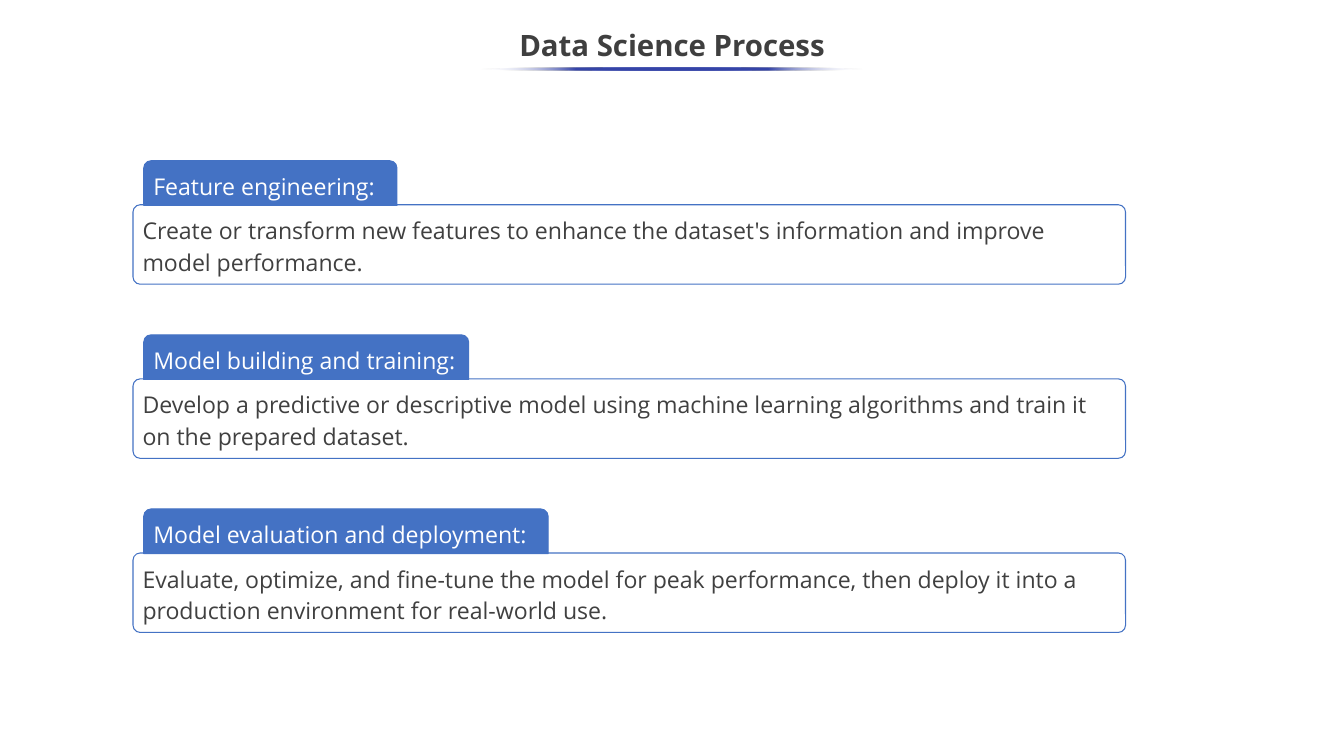
from lxml import etree
from pptx import Presentation
from pptx.dml.color import RGBColor
from pptx.enum.shapes import MSO_SHAPE as Shape
from pptx.enum.text import MSO_ANCHOR as Anchor, PP_ALIGN as Align
from pptx.oxml import parse_xml
from pptx.oxml.ns import nsdecls
from pptx.util import Cm, Pt

BLUE = RGBColor(0x44, 0x72, 0xC4)
INDIGO = RGBColor(0x36, 0x45, 0xA9)
WHITE = RGBColor(0xFF, 0xFF, 0xFF)
GREY = RGBColor(0x40, 0x40, 0x40)
TITLE_GREY = RGBColor(0x3F, 0x3F, 0x3F)

SLIDE_WIDTH, SLIDE_HEIGHT = 45.16, 25.4
STEP_PITCH = 5.85
TAB_HEIGHT, TAB_INDENT, BODY_OFFSET = 1.5, 0.36, 1.48

TITLE_FONT = {"name": "Open Sans", "size": Pt(28), "bold": True}
STEP_FONT = {"name": "Open Sans", "size": Pt(22)}

STEPS = [
    ("Feature engineering:", 8.51,
     "Create or transform new features to enhance the dataset's information "
     "and improve model performance."),
    ("Model building and training:", 10.92,
     "Develop a predictive or descriptive model using machine learning "
     "algorithms and train it on the prepared dataset."),
    ("Model evaluation and deployment:", 13.59,
     "Evaluate, optimize, and fine-tune the model for peak performance, "
     "then deploy it into a production environment for real-world use."),
]


def write_text(holder, text, font, color, align, spacing):
    """Fill a shape with one formatted, vertically centred paragraph."""
    frame = holder.text_frame
    frame.word_wrap = True
    frame.vertical_anchor = Anchor.MIDDLE
    paragraph = frame.paragraphs[0]
    paragraph.alignment = align
    paragraph.line_spacing = spacing
    run = paragraph.add_run()
    run.text = text
    for attribute, value in font.items():
        setattr(run.font, attribute, value)
    run.font.color.rgb = color


def fade_to_sides(shape, color):
    """Give a shape a gradient that is solid in the middle and clear at the ends."""
    shape.fill.gradient()
    shape.fill.gradient_angle = 180
    stops = shape.fill._fill._gradFill.gsLst
    for stop in list(stops):
        stops.remove(stop)
    for position, stop_color, alpha in (
            (0, WHITE, 0), (25, color, 100), (50, color, 100),
            (75, color, 100), (100, WHITE, 0)):
        stop = parse_xml(f'<a:gs {nsdecls("a")} pos="{position * 1000}"/>')
        rgb = etree.SubElement(stop, stop.tag.replace("}gs", "}srgbClr"), val=str(stop_color))
        etree.SubElement(rgb, stop.tag.replace("}gs", "}alpha"), val=str(alpha * 1000))
        stops.append(stop)


def add_heading(slide, left, top, width, height):
    """Place the centred title and its fading underline."""
    title = slide.shapes.add_textbox(Cm(left), Cm(top), Cm(width), Cm(height))
    write_text(title, "Data Science Process", TITLE_FONT, TITLE_GREY, Align.CENTER, 0.9)
    rule_width = 12.85
    underline = slide.shapes.add_shape(
        Shape.OVAL, Cm(left + (width - rule_width) / 2), Cm(top + 1.63),
        Cm(rule_width), Cm(0.1))
    underline.shadow.inherit = False
    underline.line.fill.background()
    fade_to_sides(underline, INDIGO)


def add_panel(slide, kind, left, top, width, height):
    """Add a blue-outlined panel without fill or shadow."""
    panel = slide.shapes.add_shape(kind, Cm(left), Cm(top), Cm(width), Cm(height))
    panel.shadow.inherit = False
    panel.fill.background()
    panel.line.color.rgb = BLUE
    panel.line.width = Pt(1)
    return panel


def add_step(slide, left, top, width, height, step):
    """Place one process step: a description box with a label tab above it."""
    label, tab_width, description = step
    body = add_panel(slide, Shape.ROUNDED_RECTANGLE, left, top + BODY_OFFSET,
                     width, height - BODY_OFFSET)
    body.adjustments[0] = 0.09
    write_text(body, description, STEP_FONT, GREY, Align.LEFT, 1.15)
    tab = add_panel(slide, Shape.ROUND_2_SAME_RECTANGLE, left + TAB_INDENT, top,
                    tab_width, TAB_HEIGHT)
    tab.fill.solid()
    tab.fill.fore_color.rgb = BLUE
    write_text(tab, label, STEP_FONT, WHITE, Align.LEFT, 1.15)


def main():
    """Build and save the slide."""
    deck = Presentation()
    deck.slide_width, deck.slide_height = Cm(SLIDE_WIDTH), Cm(SLIDE_HEIGHT)
    slide = deck.slides.add_slide(deck.slide_layouts[6])
    add_heading(slide, 0, 0.63, SLIDE_WIDTH, 1.9)
    for index, step in enumerate(STEPS):
        add_step(slide, 4.47, 5.4 + index * STEP_PITCH, 33.35, 4.15, step)
    deck.save("out.pptx")


if __name__ == "__main__":
    main()
